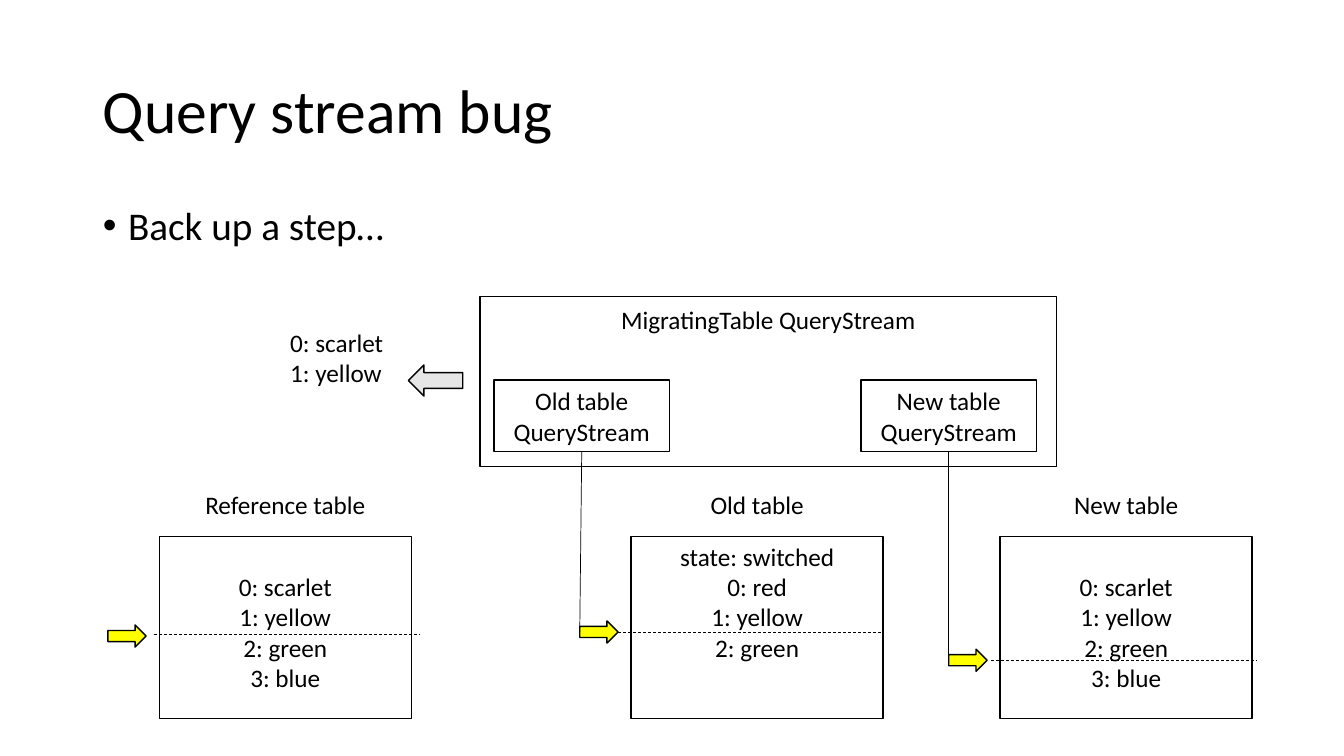
from pptx import Presentation
from pptx.util import Inches, Pt
from pptx.dml.color import RGBColor
from pptx.enum.dml import MSO_LINE_DASH_STYLE as DASH
from pptx.enum.shapes import MSO_CONNECTOR, MSO_SHAPE as SHAPE
from pptx.enum.text import MSO_ANCHOR as ANCHOR, PP_ALIGN as ALIGN
from lxml import etree
from pptx.oxml.ns import qn

BLACK = RGBColor(0, 0, 0)
YELLOW = RGBColor(0xFF, 0xFF, 0)
GRAY = RGBColor(0xE7, 0xE6, 0xE6)
FONT = "Calibri"

TITLE = "Query stream bug"
BULLET = "Back up a step…"
STREAM_TITLE = "MigratingTable QueryStream"
OUTPUT = ["0: scarlet", "1: yellow"]
ROWS = ["0: scarlet", "1: yellow", "2: green", "3: blue"]
OLD_ROWS = ["state: switched", "0: red", "1: yellow", "2: green"]

# name, left, first text line, rows, cursor middle, dash middle, dash offset, stream left
TABLES = [
    ("Reference table", 1.58, 1, ROWS, 6.31, 6.29, -0.05, None),
    ("Old table", 6.26, 0, OLD_ROWS, 6.27, 6.27, -0.13, 4.9),
    ("New table", 9.92, 1, ROWS, 6.55, 6.55, -0.09, 8.54),
]
TABLE_TOP, TABLE_W, TABLE_H = 5.32, 2.5, 1.81
LABEL_H, LINE_H, DASH_W = 0.4, 0.3, 2.63
CURSOR_GAP, CURSOR_W, CURSOR_H = 0.51, 0.38, 0.22
FRAME = (4.76, 2.94, 5.72, 1.69)
STREAM_TOP, STREAM_W, STREAM_H = 3.77, 1.74, 0.71

prs = Presentation()
prs.slide_width, prs.slide_height = Inches(13.33), Inches(7.5)
s = prs.slides.add_slide(prs.slide_layouts[1])


def write(tf, lines, size=18, align=ALIGN.CENTER):
    tf.text = "\n".join(lines)
    for p in tf.paragraphs:
        p.alignment = align
        for r in p.runs:
            r.font.name, r.font.size = FONT, Pt(size)
            r.font.color.rgb = BLACK


def fill_placeholder(sp, box, text, size):
    sp.left, sp.top, sp.width, sp.height = map(Inches, box)
    write(sp.text_frame, [text], size, ALIGN.LEFT)
    p = sp.text_frame.paragraphs[0]
    p.line_spacing = 0.9
    return p


def add_text(x, y, w, h, lines, align=ALIGN.CENTER):
    tf = s.shapes.add_textbox(*map(Inches, (x, y, w, h))).text_frame
    tf.word_wrap = True
    write(tf, lines, align=align)


def add_box(kind, x, y, w, h, fill=None):
    sp = s.shapes.add_shape(kind, *map(Inches, (x, y, w, h)))
    sp.shadow.inherit = False
    if fill is None:
        sp.fill.background()
    else:
        sp.fill.solid()
        sp.fill.fore_color.rgb = fill
    sp.line.color.rgb, sp.line.width = BLACK, Pt(1)
    return sp


def add_line(x1, y1, x2, y2, dash=None):
    ln = s.shapes.add_connector(MSO_CONNECTOR.STRAIGHT, *map(Inches, (x1, y1, x2, y2)))
    ln.line.color.rgb, ln.line.width = BLACK, Pt(0.5)
    if dash:
        ln.line.dash_style = dash
    etree.SubElement(ln._element.spPr, qn("a:effectLst"))


title, body = s.placeholders
fill_placeholder(title, (0.92, 0.4, 11.5, 1.45), TITLE, 44)
title.text_frame.vertical_anchor = ANCHOR.MIDDLE
p = fill_placeholder(body, (0.92, 2, 11.5, 4.76), BULLET, 28)
p.space_before = Pt(10)
pPr = p._p.get_or_add_pPr()
pPr.set("marL", str(Inches(0.25)))
pPr.set("indent", str(-Inches(0.25)))

add_box(SHAPE.RECTANGLE, *FRAME)
add_text(FRAME[0], 2.97, FRAME[2], LABEL_H, [STREAM_TITLE])
add_text(2.78, 3.2, 1.25, 0.71, OUTPUT, ALIGN.LEFT)
add_box(SHAPE.LEFT_ARROW, 4.05, 3.62, 0.54, 0.31, GRAY)

for name, x, skip, rows, cursor_y, dash_y, dash_dx, stream_x in TABLES:
    cursor_x = x - CURSOR_GAP
    add_box(SHAPE.RECTANGLE, x, TABLE_TOP, TABLE_W, TABLE_H)
    add_text(x, TABLE_TOP - CURSOR_GAP, TABLE_W, LABEL_H, [name])
    add_text(x, TABLE_TOP + skip * LINE_H, TABLE_W, 1.31, rows)
    add_box(SHAPE.RIGHT_ARROW, cursor_x, cursor_y - CURSOR_H / 2, CURSOR_W, CURSOR_H, YELLOW)
    add_line(x + dash_dx, dash_y, x + dash_dx + DASH_W, dash_y, DASH.DASH)
    if stream_x is not None:
        sp = add_box(SHAPE.RECTANGLE, stream_x, STREAM_TOP, STREAM_W, STREAM_H)
        sp.text_frame.word_wrap = True
        sp.text_frame.vertical_anchor = ANCHOR.MIDDLE
        write(sp.text_frame, [name + " QueryStream"])
        add_line(cursor_x, cursor_y, stream_x + STREAM_W / 2, STREAM_TOP + STREAM_H)

prs.save("out.pptx")
